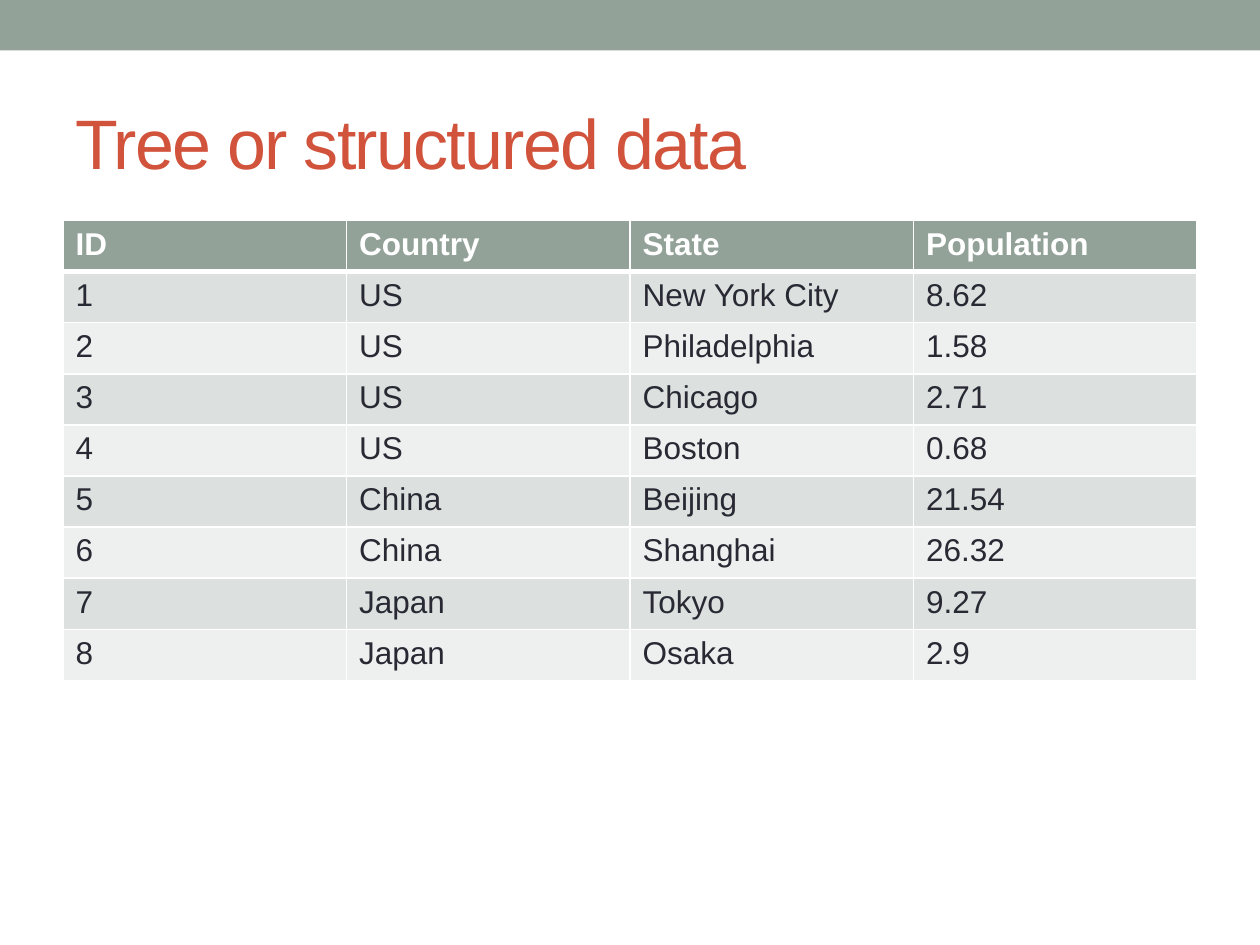
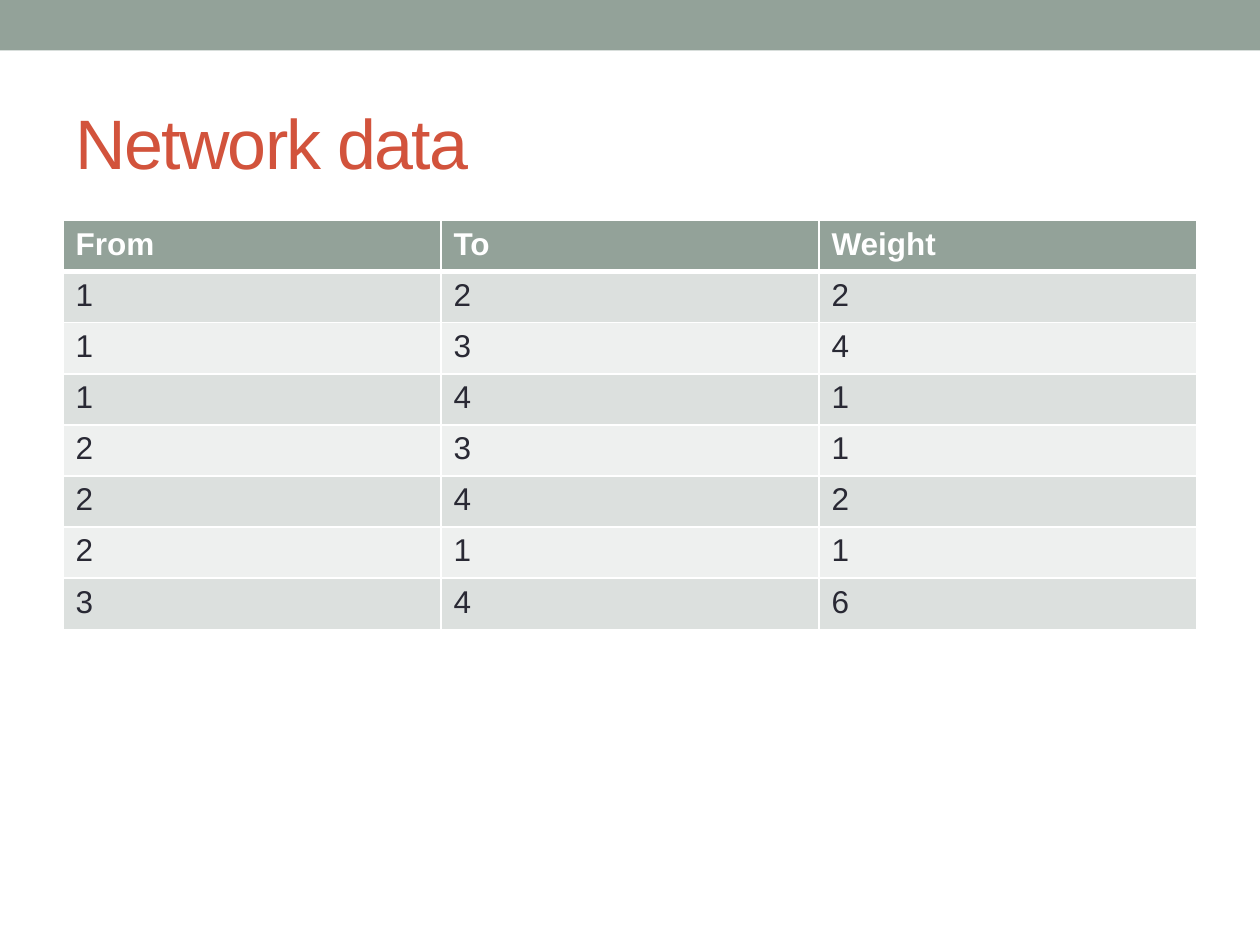
from lxml.etree import SubElement
from pptx import Presentation
from pptx.dml.color import RGBColor
from pptx.enum.shapes import MSO_SHAPE
from pptx.enum.text import MSO_ANCHOR, MSO_AUTO_SIZE, PP_ALIGN
from pptx.oxml.ns import qn
from pptx.util import Inches, Pt

SAGE = RGBColor(0x93, 0xA2, 0x99)
BRICK = RGBColor(0xD2, 0x53, 0x3C)
INK = RGBColor(0x29, 0x29, 0x34)
WHITE = RGBColor(0xFF, 0xFF, 0xFF)
ROW_FILLS = (RGBColor(0xEE, 0xF0, 0xEF), RGBColor(0xDC, 0xE0, 0xDE))

FONT = "Arial"
TITLE_ONLY = 5
COLUMNS, ROWS = 20, 90
MARGIN, CONTENT_WIDTH = 1, 18
ROW_HEIGHT = Pt(29.2)

CITY_ROWS = [
    ("ID", "Country", "State", "Population"),
    ("1", "US", "New York City", "8.62"),
    ("2", "US", "Philadelphia", "1.58"),
    ("3", "US", "Chicago", "2.71"),
    ("4", "US", "Boston", "0.68"),
    ("5", "China", "Beijing", "21.54"),
    ("6", "China", "Shanghai", "26.32"),
    ("7", "Japan", "Tokyo", "9.27"),
    ("8", "Japan", "Osaka", "2.9"),
]
EDGE_ROWS = [
    ("From", "To", "Weight"),
    ("1", "2", "2"),
    ("1", "3", "4"),
    ("1", "4", "1"),
    ("2", "3", "1"),
    ("2", "4", "2"),
    ("2", "1", "1"),
    ("3", "4", "6"),
]


class Deck:
    def __init__(self):
        self.presentation = Presentation()
        self.presentation.slide_width = Inches(10)
        self.presentation.slide_height = Inches(7.5)
        self.slide = None

    def across(self, columns):
        return round(self.presentation.slide_width * columns / COLUMNS)

    def down(self, rows):
        return round(self.presentation.slide_height * rows / ROWS)

    def add_slide(self, title):
        layout = self.presentation.slide_layouts[TITLE_ONLY]
        self.slide = self.presentation.slides.add_slide(layout)
        self.add_band()
        self.set_title(title)

    def add_band(self):
        band = self.slide.shapes.add_shape(
            MSO_SHAPE.RECTANGLE, 0, 0, self.across(COLUMNS), self.down(4.8))
        band.shadow.inherit = False
        band.fill.solid()
        band.fill.fore_color.rgb = SAGE
        band.line.fill.background()

    def set_title(self, text):
        title = self.slide.shapes.title
        title.left, title.top = self.across(MARGIN), self.down(7)
        title.width, title.height = self.across(CONTENT_WIDTH), self.down(13)
        frame = title.text_frame
        frame.text = text
        frame.word_wrap = True
        frame.auto_size = MSO_AUTO_SIZE.NONE
        frame.vertical_anchor = MSO_ANCHOR.MIDDLE
        paragraph = frame.paragraphs[0]
        paragraph.alignment = PP_ALIGN.LEFT
        self.style(paragraph, 40, BRICK)
        paragraph.runs[0]._r.get_or_add_rPr().set("spc", "-100")

    def add_table(self, records):
        count = len(records[0])
        table = self.slide.shapes.add_table(
            len(records), count, self.across(MARGIN), self.down(21),
            self.across(CONTENT_WIDTH), ROW_HEIGHT * len(records)).table
        for column in table.columns:
            column.width = self.across(CONTENT_WIDTH / count)
        for index, record in enumerate(records):
            table.rows[index].height = ROW_HEIGHT
            for column, text in enumerate(record):
                self.fill_cell(table.cell(index, column), text, index)

    def fill_cell(self, cell, text, row):
        is_header = row == 0
        cell.text = text
        self.style(cell.text_frame.paragraphs[0], 18,
                   WHITE if is_header else INK, is_header)
        self.add_borders(cell, top=3 if row == 1 else 1,
                         bottom=3 if is_header else 1)
        cell.fill.solid()
        cell.fill.fore_color.rgb = SAGE if is_header else ROW_FILLS[row % 2]

    def add_borders(self, cell, top, bottom):
        properties = cell._tc.get_or_add_tcPr()
        widths = {"a:lnL": 1, "a:lnR": 1, "a:lnT": top, "a:lnB": bottom}
        for tag, width in widths.items():
            line = SubElement(properties, qn(tag), w=str(Pt(width)))
            fill = SubElement(line, qn("a:solidFill"))
            SubElement(fill, qn("a:srgbClr"), val=str(WHITE))

    def style(self, paragraph, size, color, bold=False):
        font = paragraph.font
        font.name = FONT
        font.size = Pt(size)
        font.bold = bold
        font.color.rgb = color


def main():
    deck = Deck()
    deck.add_slide("Tree or structured data")
    deck.add_table(CITY_ROWS)
    deck.add_slide("Network data")
    deck.add_table(EDGE_ROWS)
    deck.presentation.save("out.pptx")


if __name__ == "__main__":
    main()
